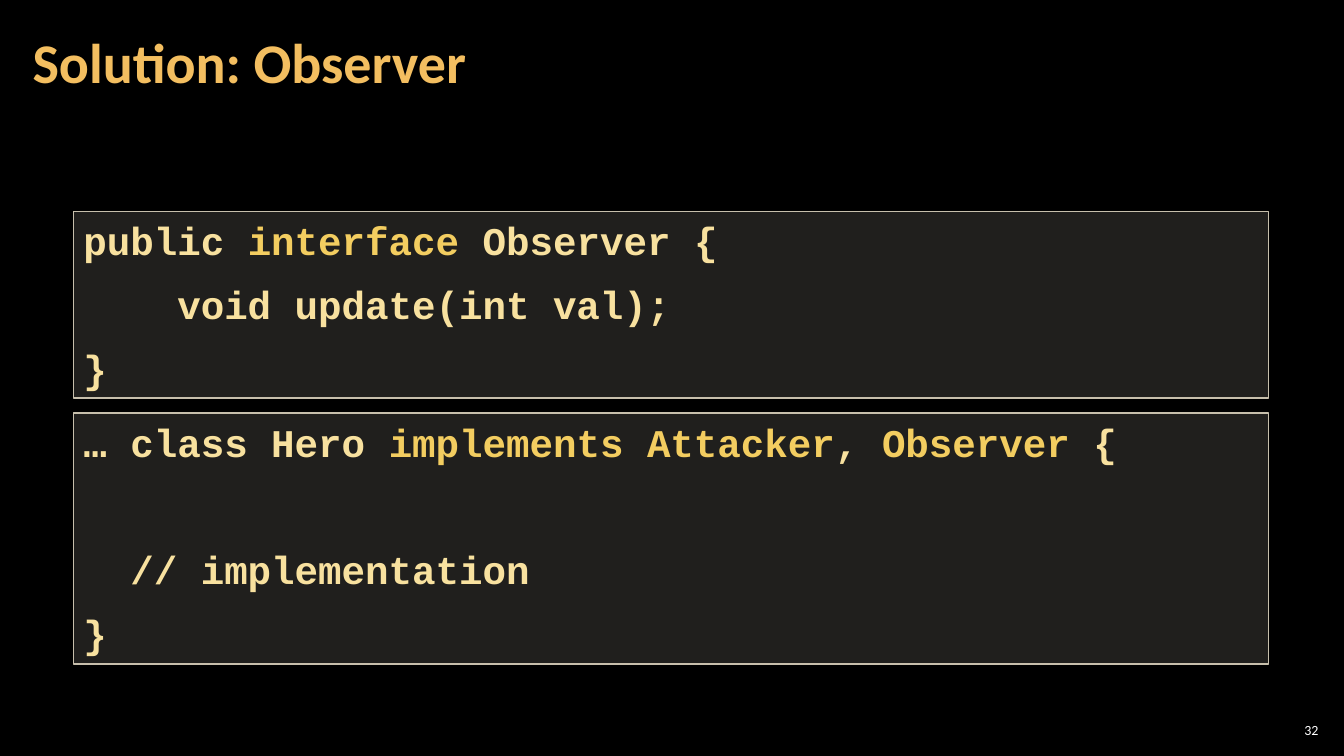
import pptx
import pptx.dml.color
import pptx.enum.shapes
import pptx.enum.text
import pptx.oxml
import pptx.oxml.ns
import pptx.util
from dataclasses import dataclass

Pt = pptx.util.Pt
ALIGN = pptx.enum.text.PP_ALIGN
ANCHOR = pptx.enum.text.MSO_ANCHOR


# Theme: colours, fonts and type sizes
@dataclass(frozen=True)
class Theme:
    background: str = "000000"
    title: str = "F3BE60"
    code: str = "F8E19F"
    keyword: str = "F3CD60"
    panel: str = "D9D5C7"
    panel_opacity: int = 15
    border: str = "C7BFAC"
    number: str = "FFFFFF"
    body_font: str = "Calibri"
    code_font: str = "Courier New"
    title_size: int = 40
    code_size: int = 28
    number_size: int = 10


@dataclass(frozen=True)
class CodePanel:
    top: float
    height: float
    lines: tuple[str, ...]  # text between * marks is highlighted


THEME = Theme()
PANEL_LEFT, PANEL_WIDTH = 52.5, 853.75

PANELS = (
    CodePanel(151.2, 133.2, (
        "public *interface* Observer {",
        "    void update(int val);",
        "}",
    )),
    CodePanel(295, 179.28, (
        "… class Hero *implements Attacker*, *Observer* {",
        "  ",
        "  // implementation",
        "}",
    )),
)


def rgb(color: str) -> pptx.dml.color.RGBColor:
    return pptx.dml.color.RGBColor.from_string(color)


def add_text(p, text: str, *, font: str, size: float, color: str,
             bold: bool = False) -> None:
    r = p.add_run()
    r.text = text
    r.font.name = font
    r.font.size = Pt(size)
    r.font.bold = bold
    r.font.color.rgb = rgb(color)


def set_frame(tf, side: float, edge: float, anchor) -> None:
    tf.word_wrap = True
    tf.vertical_anchor = anchor
    tf.margin_left = tf.margin_right = Pt(side)
    tf.margin_top = tf.margin_bottom = Pt(edge)


def add_title(s, text: str) -> None:
    sp = s.shapes.title
    sp.left, sp.top, sp.width, sp.height = Pt(15), Pt(2.88), Pt(753.84), Pt(87.12)
    set_frame(sp.text_frame, 8.25, 2.88, ANCHOR.MIDDLE)
    p = sp.text_frame.paragraphs[0]
    p.alignment = ALIGN.LEFT
    p.line_spacing = 0.9
    add_text(p, text, font=THEME.body_font, size=THEME.title_size,
             color=THEME.title, bold=True)


def add_panel(s, panel: CodePanel) -> None:
    sp = s.shapes.add_shape(pptx.enum.shapes.MSO_SHAPE.RECTANGLE, Pt(PANEL_LEFT),
                            Pt(panel.top), Pt(PANEL_WIDTH), Pt(panel.height))
    sp.shadow.inherit = False
    sp.fill.solid()
    sp.fill.fore_color.rgb = rgb(THEME.panel)
    color = sp.element.spPr.find(
        pptx.oxml.ns.qn("a:solidFill") + "/" + pptx.oxml.ns.qn("a:srgbClr"))
    color.append(pptx.oxml.parse_xml(
        f'<a:alpha {pptx.oxml.ns.nsdecls("a")} val="{THEME.panel_opacity * 1000}"/>'))
    sp.line.color.rgb = rgb(THEME.border)
    sp.line.width = Pt(1)

    # Code lines, with every second piece highlighted
    tf = sp.text_frame
    set_frame(tf, 7.2, 3.6, ANCHOR.TOP)
    for i, line in enumerate(panel.lines):
        p = tf.add_paragraph() if i else tf.paragraphs[0]
        p.alignment = ALIGN.LEFT
        p.space_before = Pt(12)
        p.line_spacing = 1.0
        for j, piece in enumerate(line.split("*")):
            add_text(p, piece, font=THEME.code_font, size=THEME.code_size,
                     color=THEME.keyword if j % 2 else THEME.code, bold=True)


def add_number(s, text: str) -> None:
    sp = s.shapes.add_textbox(Pt(910.8), Pt(514.08), Pt(33.84), Pt(15.12))
    set_frame(sp.text_frame, 2.88, 2.88, ANCHOR.MIDDLE)
    p = sp.text_frame.paragraphs[0]
    p.alignment = ALIGN.RIGHT
    add_text(p, text, font=THEME.body_font, size=THEME.number_size,
             color=THEME.number)


def main() -> None:
    prs = pptx.Presentation()
    prs.slide_width, prs.slide_height = Pt(960), Pt(540)
    s = prs.slides.add_slide(prs.slide_layouts[5])
    s.background.fill.solid()
    s.background.fill.fore_color.rgb = rgb(THEME.background)

    add_title(s, "Solution: Observer")
    for panel in PANELS:
        add_panel(s, panel)
    add_number(s, "32")
    prs.save("out.pptx")


if __name__ == "__main__":
    main()
